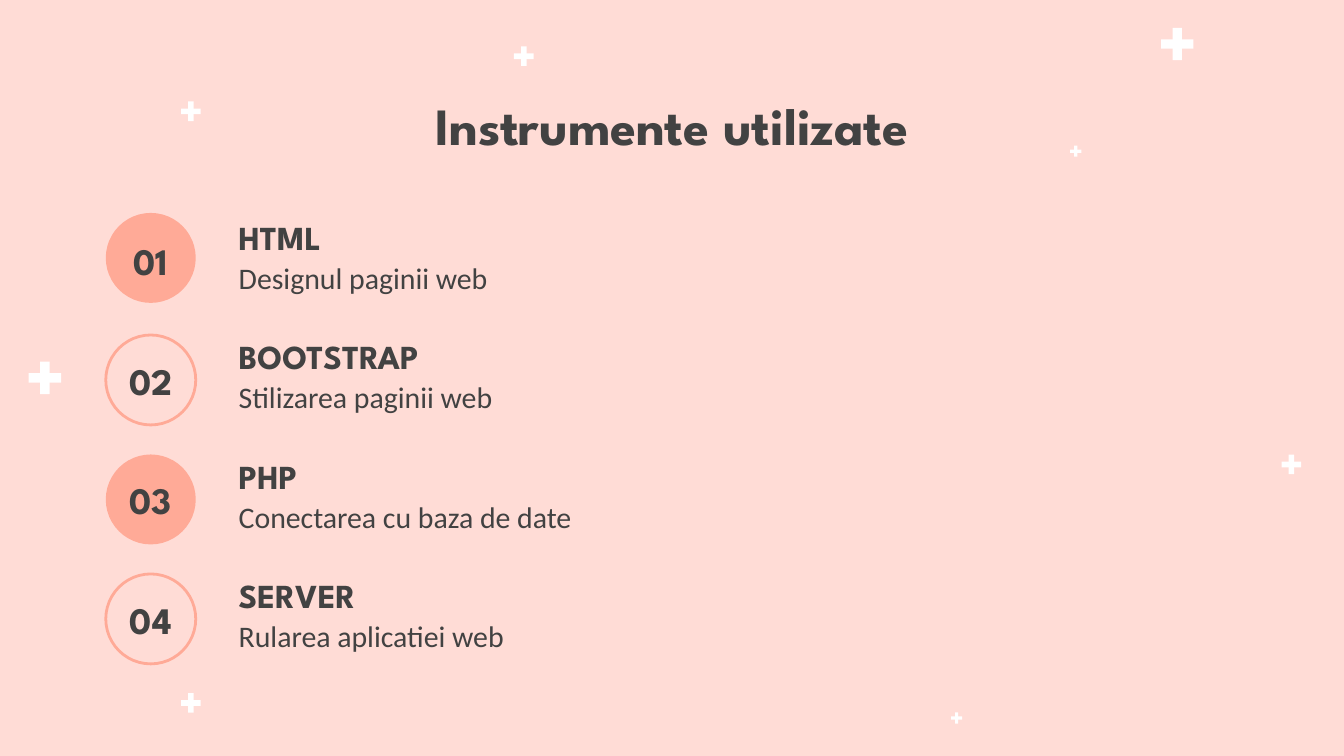
from pptx import Presentation
from pptx.dml.color import RGBColor
from pptx.enum.shapes import MSO_SHAPE as Shape
from pptx.enum.text import MSO_ANCHOR as Anchor, PP_ALIGN as Align
from pptx.util import Pt

COLORS = {"background": "FFDCD6", "accent": "FFAA97", "text": "424242", "sparkle": "FFFFFF"}
HEADING_FONT = "League Spartan"
BODY_FONT = "Calibri"

# Sparkles: left, top, size
SPARKLES = [
    (622, 14.9, 17.4), (97, 54.4, 10.5), (275.4, 24.9, 10.5), (573.3, 78, 6),
    (15.4, 193.8, 17.4), (686.6, 243.6, 10.5), (509.5, 381.7, 6), (97, 371.4, 10.5),
]
BAR_RATIO = 0.29

# Tools: name, purpose, text width, drop of the circle below the row's top
TOOLS = [
    ("HTML", "Designul paginii web", 411.8, 2.4),
    ("BOOTSTRAP", "Stilizarea paginii web", 411.8, 3.8),
    ("PHP", "Conectarea cu baza de date", 373, 3.8),
    ("SERVER", "Rularea aplicatiei web", 373, 3.8),
]
ROWS_LEFT, ROWS_TOP, ROW_PITCH = 56.7, 111.7, 64
CIRCLE_SIZE, LINE_HEIGHT = 48.2, 30.2


def color(name):
    return RGBColor.from_string(COLORS[name])


def add_label(slide, box, text, size, font=HEADING_FONT, bold=True,
              align=Align.LEFT, anchor=Anchor.MIDDLE):
    frame = slide.shapes.add_textbox(*map(Pt, box)).text_frame
    frame.word_wrap = True
    frame.vertical_anchor = anchor
    frame.margin_left = frame.margin_right = Pt(7.2)
    frame.margin_top = frame.margin_bottom = Pt(7.2)
    frame.text = text
    paragraph = frame.paragraphs[0]
    paragraph.alignment = align
    style = paragraph.runs[0].font
    style.name, style.size, style.bold = font, Pt(size), bold
    style.color.rgb = color("text")


def add_shape(slide, kind, box, fill=None, outline=None):
    shape = slide.shapes.add_shape(kind, *map(Pt, box))
    shape.shadow.inherit = False
    if fill:
        shape.fill.solid()
        shape.fill.fore_color.rgb = color(fill)
    else:
        shape.fill.background()
    if outline:
        shape.line.color.rgb = color(outline)
        shape.line.width = Pt(1.5)
    else:
        shape.line.fill.background()


def add_sparkle(slide, left, top, size):
    # Upright and level bars crossing at the centre
    bar = size * BAR_RATIO
    inset = (size - bar) / 2
    for box in ((left + inset, top, bar, size), (left, top + inset, size, bar)):
        add_shape(slide, Shape.RECTANGLE, box, fill="sparkle")


def add_tool(slide, left, top, number, name, purpose, width, circle_drop):
    # Numbered circle, filled on odd rows
    paint = {"fill": "accent"} if number % 2 else {"outline": "accent"}
    add_shape(slide, Shape.OVAL, (left, top + circle_drop, CIRCLE_SIZE, CIRCLE_SIZE), **paint)
    add_label(slide, (left, top + 12.9, CIRCLE_SIZE, LINE_HEIGHT), f"{number:02}", 20,
              align=Align.CENTER)
    # Name and purpose
    text_left = left + 64.1
    add_label(slide, (text_left, top, width, LINE_HEIGHT), name, 18)
    add_label(slide, (text_left, top + 20, width, LINE_HEIGHT), purpose, 16,
              font=BODY_FONT, bold=False, anchor=Anchor.TOP)


def build_tools_slide(presentation):
    slide = presentation.slides.add_slide(presentation.slide_layouts[6])
    slide.background.fill.solid()
    slide.background.fill.fore_color.rgb = color("background")

    for sparkle in SPARKLES:
        add_sparkle(slide, *sparkle)

    # Title
    add_label(slide, (56.2, 42.8, 607.7, 45.4), "Instrumente utilizate", 28,
              align=Align.CENTER, anchor=Anchor.TOP)

    # Numbered list of tools
    for index, tool in enumerate(TOOLS):
        add_tool(slide, ROWS_LEFT, ROWS_TOP + index * ROW_PITCH, index + 1, *tool)


def main():
    presentation = Presentation()
    presentation.slide_width, presentation.slide_height = Pt(720), Pt(405)
    build_tools_slide(presentation)
    presentation.save("out.pptx")


if __name__ == "__main__":
    main()
